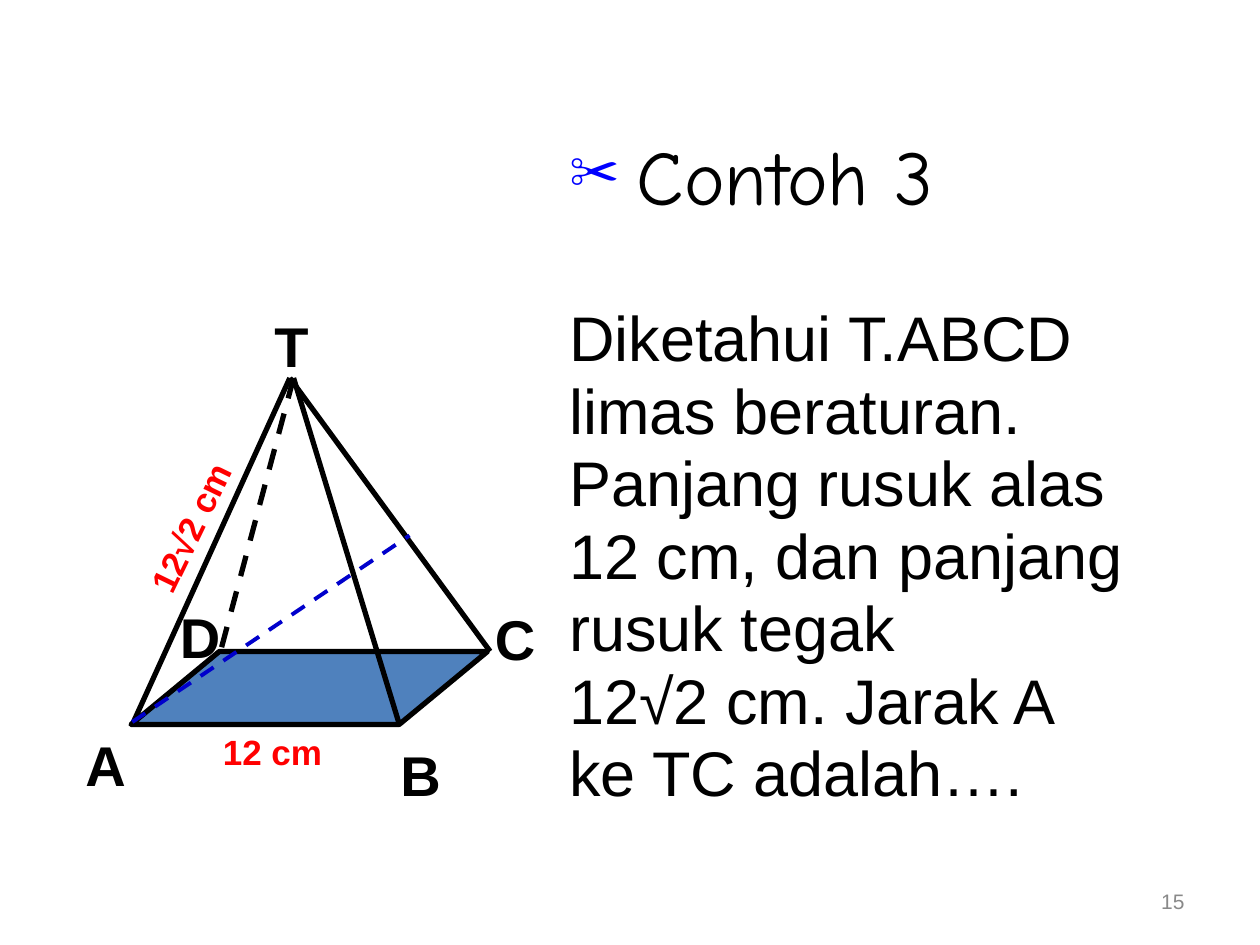
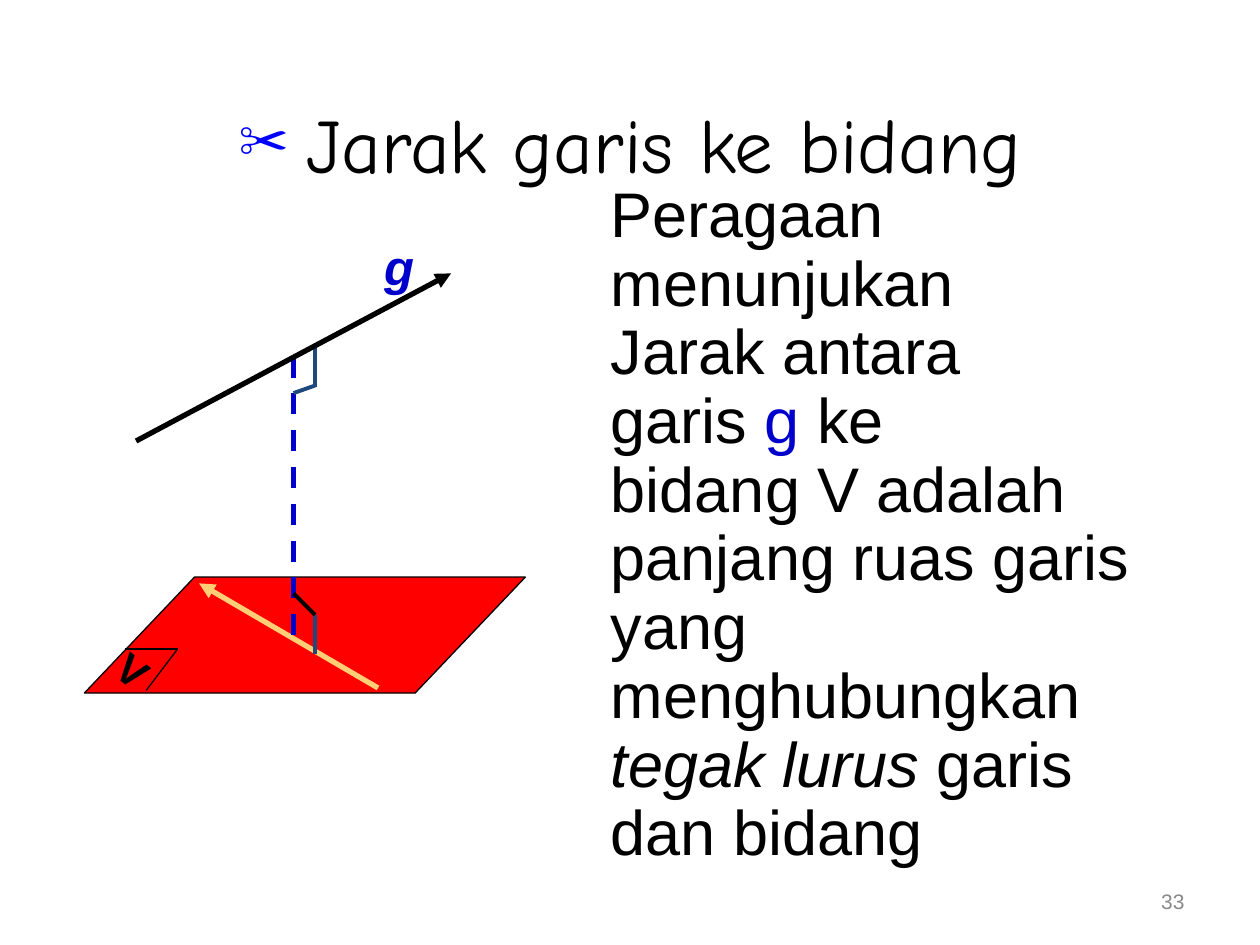
import pptx
import pptx.dml.color
import pptx.enum.dml
import pptx.enum.shapes
import pptx.enum.text
import pptx.oxml
import pptx.oxml.ns
import pptx.util

PX = 9144  # EMU in one px, 100 px to the inch
COLORS = {
    "black": "000000",
    "gray": "898989",
    "red": "FF0000",
    "bullet": "0000FF",
    "blue": "0000CC",
    "navy": "1F497D",
    "base": "4F81BD",
    "sand": "FFCE75",
}
ALIGN = pptx.enum.text.PP_ALIGN
NAMESPACE = pptx.oxml.ns.nsdecls("a")


def rgb(name):
    return pptx.dml.color.RGBColor.from_string(COLORS[name])


def write(target, text, place=None, size=36, font="Arial", color="black", bold=False,
          italic=False, align=ALIGN.LEFT, spacing=None, before=0, bullet=None,
          rotation=0, anchor=pptx.enum.text.MSO_ANCHOR.TOP):
    """Write text, a string or (string, format) spans: in a new box on a page
    when a place is given, otherwise as a further paragraph of a box."""
    if place:
        box = target.shapes.add_textbox(*[length * PX for length in place])
        box.rotation = rotation
        box.text_frame.word_wrap = True
        box.text_frame.vertical_anchor = anchor
        para = box.text_frame.paragraphs[0]
    else:
        box = target
        para = box.text_frame.add_paragraph()
    if bullet:
        properties = para._p.get_or_add_pPr()
        for markup in (
            f'<a:buClr {NAMESPACE}><a:srgbClr val="{COLORS["bullet"]}"/></a:buClr>',
            f'<a:buSzPct {NAMESPACE} val="80000"/>',
            f'<a:buFont {NAMESPACE} typeface="Arial"/>',
            f'<a:buChar {NAMESPACE} char="{bullet}"/>',
        ):
            properties.append(pptx.oxml.parse_xml(markup))
    para.alignment = align
    para.line_spacing = spacing
    para.space_before = pptx.util.Pt(before)
    base = {"size": size, "font": font, "color": color, "bold": bold, "italic": italic}
    for words, change in [(text, {})] if isinstance(text, str) else text:
        style = base | change
        span = para.add_run()
        span.text = words
        span.font.size = pptx.util.Pt(style["size"])
        span.font.name = style["font"]
        span.font.bold = style["bold"]
        span.font.italic = style["italic"]
        span.font.color.rgb = rgb(style["color"])
    return box


def draw_line(page, start, end, color="black", width=3, dashed=False, arrow=False):
    line = page.shapes.add_connector(
        pptx.enum.shapes.MSO_CONNECTOR.STRAIGHT, *[length * PX for length in start + end])
    line.line.color.rgb = rgb(color)
    line.line.width = pptx.util.Pt(width)
    if dashed:
        line.line.dash_style = pptx.enum.dml.MSO_LINE.DASH
    properties = line._element.spPr
    if arrow:
        properties.find(pptx.oxml.ns.qn("a:ln")).append(
            pptx.oxml.parse_xml(f'<a:tailEnd {NAMESPACE} type="triangle"/>'))
    properties.append(pptx.oxml.parse_xml(f"<a:effectLst {NAMESPACE}/>"))


deck = pptx.Presentation()
deck.slide_width = 1000 * PX
deck.slide_height = 750 * PX

# Both pages: number, scissors heading and a parallelogram plane
pages = []
headings = []
for number, heading, place, align, plane_place, slant, fill, outline in (
    ("15", "Contoh 3", (442, 117, 500, 531), ALIGN.JUSTIFY,
     (104, 517, 283, 58), 1.21, "base", 3),
    ("33", "Jarak garis ke bidang", (142, 92, 717, 62), ALIGN.CENTER,
     (67, 458, 350, 92), 0.95, "red", 0.75),
):
    page = deck.slides.add_slide(deck.slide_layouts[6])
    write(page, number, (717, 695, 233, 40), size=12, color="gray", align=ALIGN.RIGHT,
          anchor=pptx.enum.text.MSO_ANCHOR.MIDDLE)
    plane = page.shapes.add_shape(
        pptx.enum.shapes.MSO_SHAPE.PARALLELOGRAM, *[length * PX for length in plane_place])
    plane.adjustments[0] = slant
    plane.shadow.inherit = False
    plane.fill.solid()
    plane.fill.fore_color.rgb = rgb(fill)
    plane.line.color.rgb = rgb("black")
    plane.line.width = pptx.util.Pt(outline)
    title = [(" ", {}), (heading, {"size": 44, "font": "Comic Neue"})]
    headings.append(write(page, title, place, align=align, spacing=0.7, bullet="✂"))
    pages.append(page)
pyramid_page, distance_page = pages

# Pyramid T.ABCD: the problem
problem = (
    "Diketahui T.ABCD",
    "limas beraturan.",
    "Panjang rusuk alas",
    "12 cm, dan panjang",
    "rusuk tegak",
    "12√2 cm. Jarak A",
    "ke TC adalah….",
)
for index, text in enumerate(problem):
    write(headings[0], text, align=ALIGN.JUSTIFY, spacing=0.75, before=9 if index else 56)

# Pyramid T.ABCD: edges, vertices and lengths
for start, end, dashed in (
    ((230, 300), (105, 575), False),
    ((233, 300), (317, 575), False),
    ((230, 300), (389, 517), False),
    ((233, 300), (175, 517), True),
):
    draw_line(pyramid_page, start, end, dashed=dashed)
draw_line(pyramid_page, (105, 573), (325, 425), color="blue", width=2.25, dashed=True)
for vertex, left, top in (
    ("T", 208, 242), ("C", 383, 475), ("A", 58, 575), ("B", 308, 583), ("D", 133, 473),
):
    write(pyramid_page, vertex, (left, top, 50, 64), size=32, bold=True)
for length, place, rotation in (
    ("12 cm", (167, 575, 108, 44), 0),
    ("12√2 cm", (83, 391, 142, 44), 295.9),
):
    write(pyramid_page, length, place, size=20, color="red", bold=True, rotation=rotation)

# Distance from line g to plane V: the explanation
explanation = (
    "menunjukan",
    "Jarak antara",
    [("garis ", {}), ("g", {"color": "blue"}), (" ke", {})],
    "bidang V adalah",
    "panjang ruas garis",
    "yang",
    "menghubungkan",
    [("tegak lurus", {"italic": True}), (" garis", {})],
    "dan bidang",
)
body = write(distance_page, "Peragaan", (475, 150, 458, 543), spacing=0.7)
for text in explanation:
    write(body, text, spacing=0.7, before=9)

# Projection of g, the distance, right-angle marks, corner of V, and g itself
for start, end, style in (
    ((300, 546), (158, 463), {"color": "sand", "arrow": True}),
    ((233, 283), (233, 504), {"color": "blue", "dashed": True}),
    ((250, 275), (250, 307), {"color": "navy", "width": 2.25}),
    ((233, 312), (250, 306), {"color": "navy", "width": 2.25}),
    ((250, 488), (250, 519), {"color": "navy", "width": 2.25}),
    ((233, 471), (250, 488), {"width": 2.25}),
    ((99, 515), (141, 515), {"width": 0.75}),
    ((141, 515), (116, 548), {"width": 0.75}),
    ((108, 350), (358, 217), {"arrow": True}),
):
    draw_line(distance_page, start, end, **style)
write(distance_page, "V", (83, 512, 58, 50), size=24, bold=True, rotation=38.1)
write(distance_page, "g", (295, 183, 47, 57), size=28, color="blue", bold=True, italic=True)

deck.save("out.pptx")
